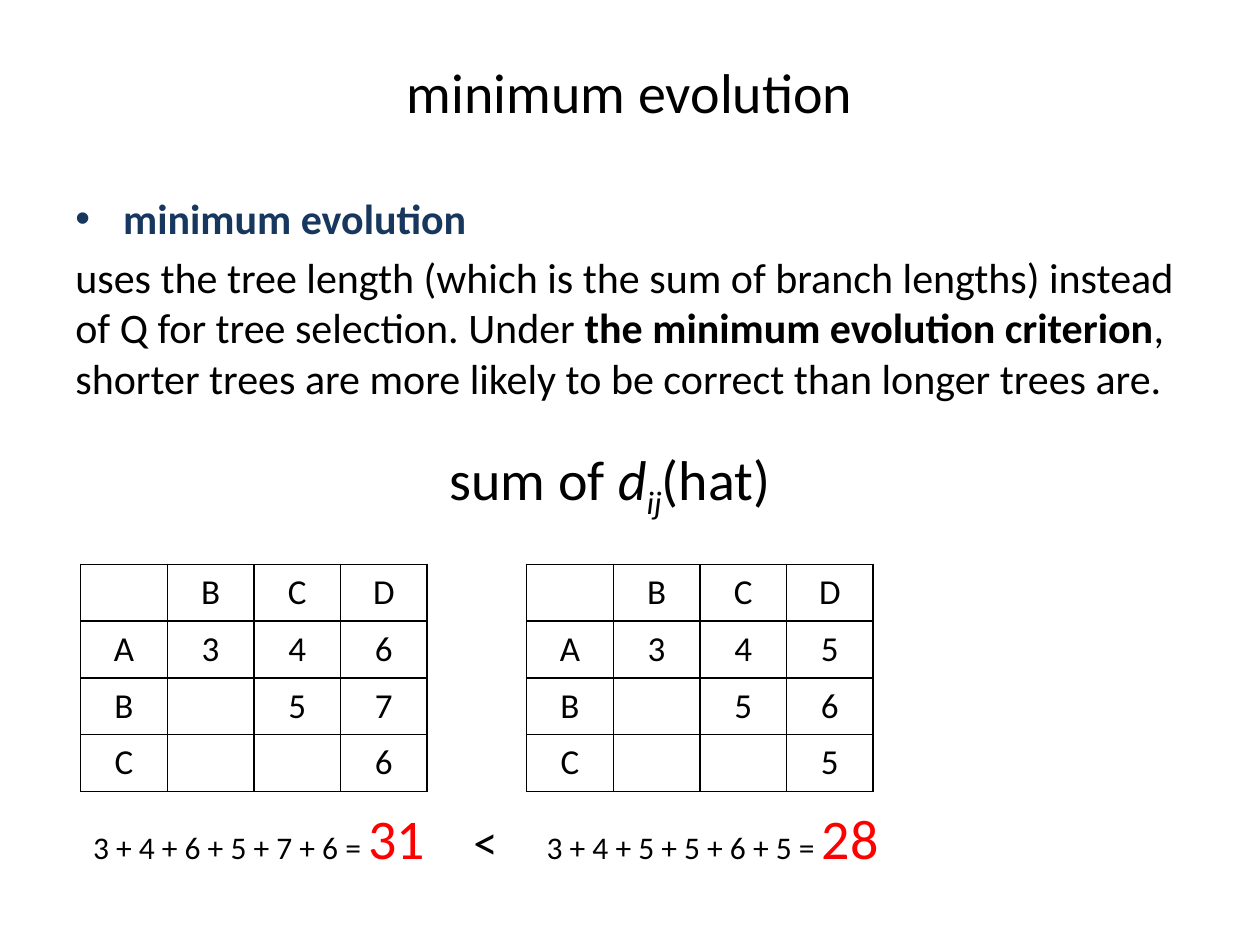
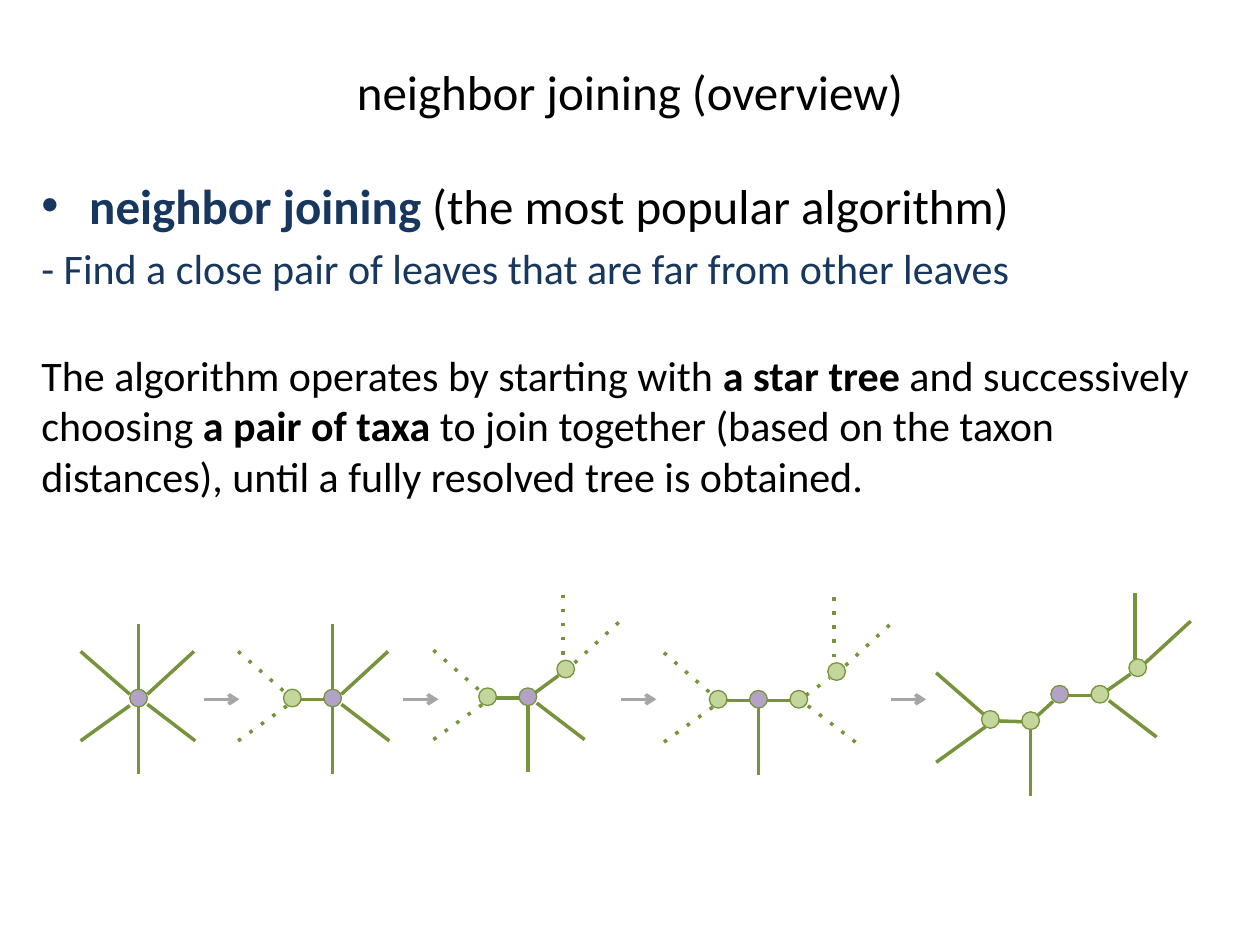
import math
import pptx
import pptx.util
import pptx.dml.color
import pptx.enum.shapes
import pptx.enum.text
import pptx.oxml.ns
from lxml import etree

Inches = pptx.util.Inches
Pt = pptx.util.Pt
RGB = pptx.dml.color.RGBColor
TEXT = pptx.enum.text
SHAPE = pptx.enum.shapes
qn = pptx.oxml.ns.qn

BLACK = RGB(0x00, 0x00, 0x00)
NAVY = RGB(0x17, 0x37, 0x5E)
RED = RGB(0xFF, 0x00, 0x00)
GREEN = RGB(0x77, 0x93, 0x3C)
LIME = RGB(0xC3, 0xD6, 0x9B)
MAUVE = RGB(0xB3, 0xA2, 0xC7)
GREY = RGB(0xA6, 0xA6, 0xA6)
FONT = "Calibri"

SIDE = 0.14
GAP = 0.07
RAYS = {
    "N": (0, -0.59, 0, -0.07),
    "S": (0, 0.07, 0, 0.6),
    "NE": (0.44, -0.37, 0.07, -0.03),
    "NW": (-0.46, -0.37, -0.07, -0.03),
    "SE": (0.45, 0.34, 0.07, 0.05),
    "SW": (-0.46, 0.34, -0.07, 0.06),
}
SHIFT = {"left": 0.03, "top": -0.02}

# hub place, arrow start, nodes, links, solid rays, dotted rays
TREES = [
    ((0.46, 0.83), None, {"hub": (0, 0)}, [],
     [("hub", "N S NE NW SE SW")], []),
    ((2.0, 0.83), 0.98, {"hub": (0, 0), "left": (-0.32, 0)},
     [("hub", "left", False)],
     [("hub", "N S NE SE")], [("left", "NW SW")]),
    ((3.55, 0.82), 2.56,
     {"hub": (0, 0), "left": (-0.32, 0), "top": (0.3, -0.22)},
     [("hub", "left", False), ("hub", "top", False)],
     [("hub", "S SE")], [("left", "NW SW"), ("top", "N NE")]),
    ((5.38, 0.84), 4.29,
     {"hub": (0, 0), "left": (-0.32, 0), "right": (0.32, 0), "top": (0.62, -0.22)},
     [("hub", "left", False), ("hub", "right", False), ("right", "top", True)],
     [("hub", "S")], [("left", "NW SW"), ("right", "SE"), ("top", "N NE")]),
    ((7.77, 0.8), 6.43,
     {"hub": (0, 0), "stem": (-0.23, 0.21), "left": (-0.55, 0.2),
      "right": (0.32, 0), "top": (0.62, -0.21)},
     [("hub", "stem", False), ("stem", "left", False),
      ("hub", "right", False), ("right", "top", False)],
     [("left", "NW SW"), ("stem", "S"), ("right", "SE"), ("top", "N NE")], []),
]


def add_run(para, text, size, color=BLACK, bold=False, slant=False, base=0):
    run = para.add_run()
    run.text = text
    font = run.font
    font.name, font.size, font.bold, font.italic = FONT, Pt(size), bold, slant
    font.color.rgb = color
    if base:
        font._element.set("baseline", str(base * 1000))


def add_title(deck, text, size):
    slide = deck.slides.add_slide(deck.slide_layouts[5])
    title = slide.shapes.title
    title.left, title.top = Inches(0.5), Inches(0.3)
    title.width, title.height = Inches(9), Inches(0.85)
    title.text_frame.vertical_anchor = TEXT.MSO_ANCHOR.MIDDLE
    para = title.text_frame.paragraphs[0]
    para.alignment = TEXT.PP_ALIGN.CENTER
    add_run(para, text, size)
    return slide


def add_bullet(para, color):
    props = para._p.get_or_add_pPr()
    props.set("marL", str(Inches(0.38)))
    props.set("indent", str(-Inches(0.38)))
    tint = etree.SubElement(props, qn("a:buClr"))
    etree.SubElement(tint, qn("a:srgbClr"), val=str(color))
    etree.SubElement(props, qn("a:buFont"), typeface="Arial")
    etree.SubElement(props, qn("a:buChar"), char="•")


def add_body(slide, box, paras):
    frame = slide.shapes.add_textbox(*map(Inches, box)).text_frame
    frame.word_wrap = True
    for i, (space, runs) in enumerate(paras):
        para = frame.add_paragraph() if i else frame.paragraphs[0]
        if i:
            para.space_before = Pt(space)
        else:
            add_bullet(para, NAVY)
        for run in runs:
            add_run(para, *run)


def add_label(slide, box, runs):
    frame = slide.shapes.add_textbox(*map(Inches, box)).text_frame
    frame.word_wrap = False
    frame.auto_size = TEXT.MSO_AUTO_SIZE.SHAPE_TO_FIT_TEXT
    for run in runs:
        add_run(frame.paragraphs[0], *run)


def add_edges(cell):
    props = cell._tc.get_or_add_tcPr()
    for i, side in enumerate(("lnL", "lnR", "lnT", "lnB")):
        edge = etree.Element(qn("a:" + side), w=str(Pt(1)))
        fill = etree.SubElement(edge, qn("a:solidFill"))
        etree.SubElement(fill, qn("a:srgbClr"), val=str(BLACK))
        props.insert(i, edge)


def add_grid(slide, left, top, rows):
    box = map(Inches, (left, top, 2.75, 1.8))
    table = slide.shapes.add_table(len(rows), len(rows[0]), *box).table
    table.first_row = table.horz_banding = False
    for r, row in enumerate(rows):
        for c, text in enumerate(row):
            cell = table.cell(r, c)
            cell.fill.background()
            add_edges(cell)
            cell.vertical_anchor = TEXT.MSO_ANCHOR.MIDDLE
            if text != "-":
                para = cell.text_frame.paragraphs[0]
                para.alignment = TEXT.PP_ALIGN.CENTER
                add_run(para, text, 20)


def add_sum(slide, left, terms, total):
    add_label(slide, (left, 6.33, 2.86, 0.64),
              [(" + ".join(terms) + " = ", 18), (total, 32, RED)])


def add_line(group, ends, color, mark=None):
    line = group.shapes.add_connector(
        SHAPE.MSO_CONNECTOR.STRAIGHT, *map(Inches, ends))
    line.line.color.rgb = color
    line.line.width = Pt(2)
    stroke = line.line._get_or_add_ln()
    if mark == "dot":
        etree.SubElement(stroke, qn("a:prstDash"), val="dot")
    elif mark == "arrow":
        etree.SubElement(stroke, qn("a:tailEnd"), type="arrow")
    etree.SubElement(line._element.spPr, qn("a:effectLst"))


def add_node(group, x, y, color):
    node = group.shapes.add_shape(
        SHAPE.MSO_SHAPE.OVAL, Inches(x - SIDE / 2), Inches(y - SIDE / 2),
        Inches(SIDE), Inches(SIDE))
    node.shadow.inherit = False
    node.fill.solid()
    node.fill.fore_color.rgb = color
    node.line.color.rgb = GREEN
    node.line.width = Pt(0.75)


def add_link(group, start, end, mark):
    (x1, y1), (x2, y2) = start, end
    size = math.dist(start, end)
    dx, dy = (x2 - x1) * GAP / size, (y2 - y1) * GAP / size
    add_line(group, (x1 + dx, y1 + dy + 0.01, x2 - dx, y2 - dy + 0.01), GREEN, mark)


def add_tree(slide, left, top, tree):
    hub, arrow, nodes, links, solid, dotted = tree
    group = slide.shapes.add_group_shape()
    spots = {name: (left + hub[0] + x, top + hub[1] + y)
             for name, (x, y) in nodes.items()}
    for rays, mark in ((solid, None), (dotted, "dot")):
        for name, ways in rays:
            x, y = spots[name]
            x += SHIFT.get(name, 0)
            for way in ways.split():
                x1, y1, x2, y2 = RAYS[way]
                add_line(group, (x + x1, y + y1, x + x2, y + y2), GREEN, mark)
    for start, end, dots in links:
        add_link(group, spots[start], spots[end], "dot" if dots else None)
    for name, (x, y) in spots.items():
        add_node(group, x, y, MAUVE if name == "hub" else LIME)
    if arrow is not None:
        x, y = left + arrow, top + 0.84
        add_line(group, (x, y, x + 0.28, y), GREY, "arrow")


def build_min(deck):
    slide = add_title(deck, "minimum evolution", 32)
    add_body(slide, (0.5, 1.48, 9, 1.81), [
        (0, [("minimum evolution", 24, NAVY, True)]),
        (4.8, [
            ("uses the tree length (which is the sum of branch lengths) instead "
             "of Q for tree selection. Under ", 24),
            ("the minimum evolution criterion", 24, BLACK, True),
            (", shorter trees are more likely to be correct than longer "
             "trees are.", 24)]),
    ])
    add_label(slide, (3.47, 3.48, 2.79, 0.64), [
        ("sum of ", 32), ("d", 32, BLACK, False, True),
        ("ij", 32, BLACK, False, True, -25), ("(hat)", 32)])
    add_grid(slide, 0.64, 4.48, ["-BCD", "A346", "B-57", "C--6"])
    add_grid(slide, 4.18, 4.48, ["-BCD", "A345", "B-56", "C--5"])
    add_sum(slide, 0.64, "346576", "31")
    add_sum(slide, 4.24, "345565", "28")
    add_label(slide, (3.66, 6.39, 0.4, 0.57), [("<", 28)])


def build_join(deck):
    slide = add_title(deck, "neighbor joining (overview)", 28)
    add_body(slide, (0.23, 1.34, 9.39, 2.96), [
        (0, [("neighbor joining ", 28, NAVY, True),
             ("(the most popular algorithm)", 28)]),
        (4.8, [("- Find a close pair of leaves that are far from other leaves",
                24, NAVY)]),
        (32.5, [
            ("The algorithm operates by starting with ", 24),
            ("a star tree ", 24, BLACK, True),
            ("and successively choosing ", 24),
            ("a pair of taxa ", 24, BLACK, True),
            ("to join together (based on the taxon distances), until a fully "
             "resolved tree is obtained.", 24)]),
    ])
    for tree in TREES:
        add_tree(slide, 0.64, 4.71, tree)


def main():
    deck = pptx.Presentation()
    deck.slide_width, deck.slide_height = Inches(10), Inches(7.5)
    build_min(deck)
    build_join(deck)
    deck.save("out.pptx")


if __name__ == "__main__":
    main()
